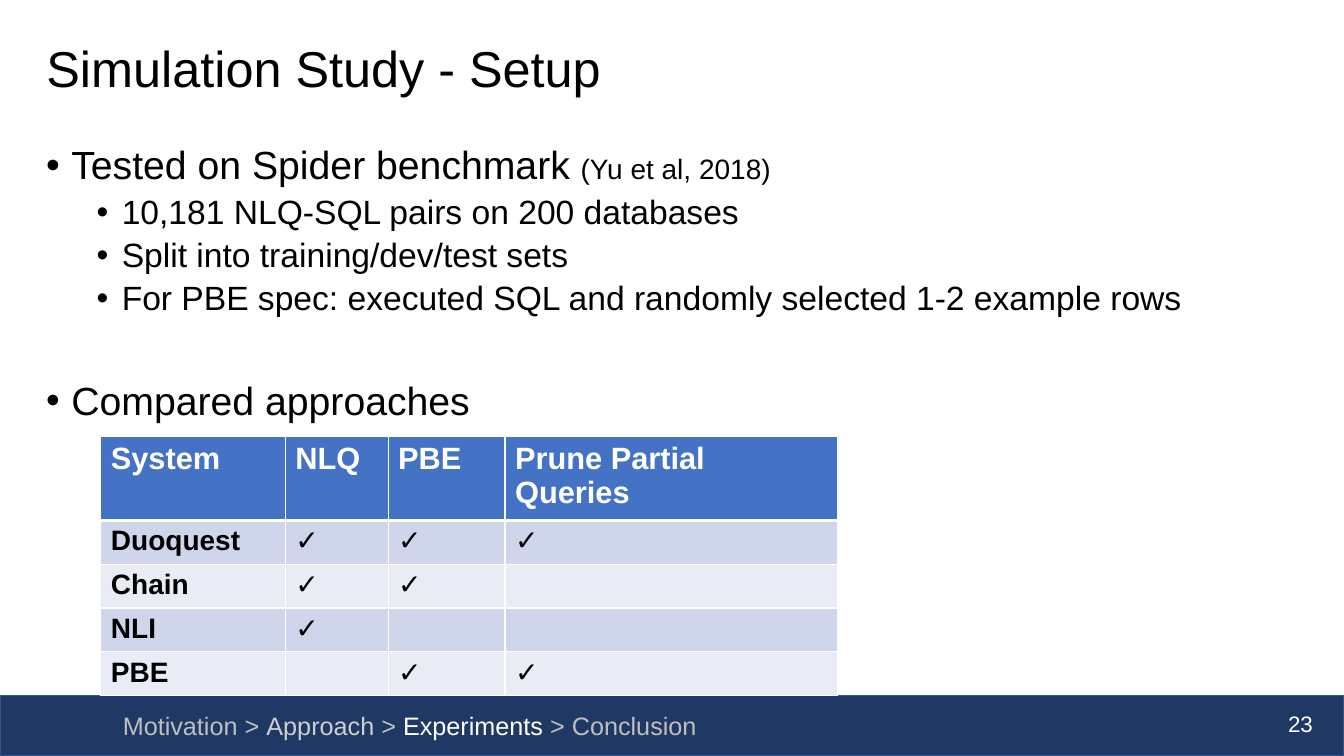
import pptx
import pptx.util
import pptx.dml.color
import pptx.enum.shapes
import pptx.enum.text
import pptx.oxml
import pptx.oxml.ns
from lxml import etree

Inches = pptx.util.Inches
Pt = pptx.util.Pt
ALIGN = pptx.enum.text.PP_ALIGN


def color(value):
    return pptx.dml.color.RGBColor.from_string(value)


def add_text(para, text, size=18, fill="000000", bold=False, align=ALIGN.LEFT):
    para.alignment = align
    span = para.add_run()
    span.text = text
    span.font.name = "Arial"
    span.font.size = Pt(size)
    span.font.bold = bold
    span.font.color.rgb = color(fill)


deck = pptx.Presentation()
deck.slide_width = Inches(13.33)
deck.slide_height = Inches(7.5)
page = deck.slides.add_slide(deck.slide_layouts[5])

footer = page.shapes.add_shape(
    pptx.enum.shapes.MSO_SHAPE.RECTANGLE, Inches(0), Inches(6.9), Inches(13.33), Inches(0.6))
footer.shadow.inherit = False
footer.fill.solid()
footer.fill.fore_color.rgb = color("203864")
footer.line.color.rgb = color("325491")
footer.line.width = Pt(1)

title = page.shapes.title
title.left, title.top = Inches(0.36), Inches(0.24)
title.width, title.height = Inches(12.66), Inches(0.94)
title.text_frame.vertical_anchor = pptx.enum.text.MSO_ANCHOR.MIDDLE
title.text_frame.paragraphs[0].line_spacing = 0.9
add_text(title.text_frame.paragraphs[0], "Simulation Study - Setup", size=36)

body = page.shapes.add_textbox(Inches(0.36), Inches(1.4), Inches(12.66), Inches(5.23))
body.text_frame.word_wrap = True
bullets = [
    (0, 10, [("Tested on Spider benchmark ", 28), ("(Yu et al, 2018)", 20)]),
    (1, 5, [("10,181 NLQ-SQL pairs on 200 databases", 24)]),
    (1, 5, [("Split into training/dev/test sets", 24)]),
    (1, 5, [("For PBE spec: executed SQL and randomly selected 1-2 example rows", 24)]),
    (0, 45, [("Compared approaches", 28)]),
]
for index, (level, gap, parts) in enumerate(bullets):
    para = body.text_frame.add_paragraph() if index else body.text_frame.paragraphs[0]
    para.level = level
    para.line_spacing = 0.9
    para.space_before = Pt(gap)
    for text, size in parts:
        add_text(para, text, size=size)
    properties = para._p.get_or_add_pPr()
    properties.set("marL", str(Inches(0.25 + 0.5 * level)))
    properties.set("indent", str(Inches(-0.25)))
    etree.SubElement(properties, pptx.oxml.ns.qn("a:buFont")).set("typeface", "Arial")
    etree.SubElement(properties, pptx.oxml.ns.qn("a:buChar")).set("char", "•")

trail = page.shapes.add_textbox(Inches(1.12), Inches(7), Inches(7.07), Inches(0.4))
trail.text_frame.word_wrap = True
for text, fill in [("Motivation > ", "BFBFBF"), ("Approach", "D0CECE"), (" > ", "BFBFBF"),
                   ("Experiments", "FFFFFF"), (" > Conclusion", "BFBFBF")]:
    add_text(trail.text_frame.paragraphs[0], text, fill=fill)

number = page.shapes.add_textbox(Inches(10.12), Inches(7), Inches(3), Inches(0.4))
number.text_frame.word_wrap = True
add_text(number.text_frame.paragraphs[0], "23", size=16, fill="FFFFFF", align=ALIGN.RIGHT)

rows = [
    ["System", "NLQ", "PBE", "Prune Partial Queries"],
    ["Duoquest", "✓", "✓", "✓"],
    ["Chain", "✓", "✓", ""],
    ["NLI", "✓", "", ""],
    ["PBE", "", "✓", "✓"],
]
widths = [1.83, 1.02, 1.16, 3.3]
table = page.shapes.add_table(
    len(rows), len(widths), Inches(1), Inches(4.33), Inches(sum(widths)), Inches(2.05)).table
for column, width in zip(table.columns, widths):
    column.width = Inches(width)
for row_index, values in enumerate(rows):
    header = row_index == 0
    table.rows[row_index].height = Inches(0.41)
    band = "4472C4" if header else ("E9EBF5", "CFD5EA")[row_index % 2]
    for column_index, text in enumerate(values):
        cell = table.cell(row_index, column_index)
        if text:
            add_text(cell.text_frame.paragraphs[0], text, size=22 if header else 20,
                     fill="FFFFFF" if header else "000000",
                     bold=header or column_index == 0)
        properties = cell._tc.get_or_add_tcPr()
        for side in ("L", "R", "T", "B"):
            thick = (header and side == "B") or (row_index == 1 and side == "T")
            border = etree.SubElement(properties, pptx.oxml.ns.qn(f"a:ln{side}"))
            border.set("w", str(Pt(3 if thick else 1)))
            paint = etree.SubElement(border, pptx.oxml.ns.qn("a:solidFill"))
            etree.SubElement(paint, pptx.oxml.ns.qn("a:srgbClr")).set("val", "FFFFFF")
        cell.fill.solid()
        cell.fill.fore_color.rgb = color(band)

deck.save("out.pptx")
